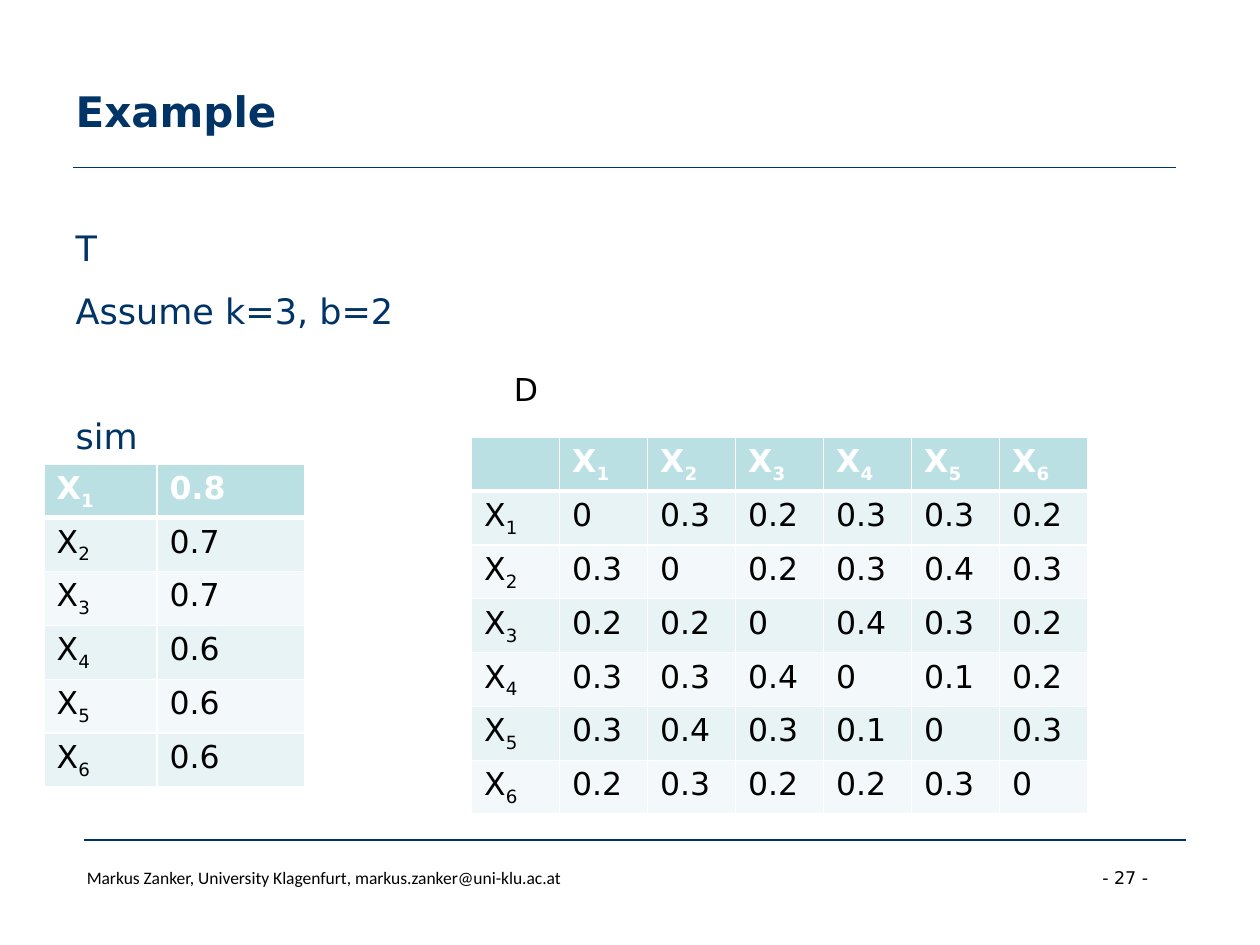
"""Build the example slide with a similarity list and a distance matrix."""
from dataclasses import dataclass

from lxml import etree
from pptx import Presentation
from pptx.dml.color import RGBColor
from pptx.enum.shapes import MSO_CONNECTOR
from pptx.enum.text import MSO_ANCHOR, MSO_AUTO_SIZE, PP_ALIGN
from pptx.oxml.ns import qn
from pptx.util import Pt

STRAIGHT = MSO_CONNECTOR.STRAIGHT
MIDDLE = MSO_ANCHOR.MIDDLE
TOP = MSO_ANCHOR.TOP
LEFT = PP_ALIGN.LEFT
NO_FIT = MSO_AUTO_SIZE.NONE

COLORS = {"navy": "003366", "black": "000000", "white": "FFFFFF",
          "head": "BBE0E3", "odd": "E7F3F4", "even": "F3F9FA"}
SANS = "DejaVu Sans"
ROW = 29.2
NAMES = [f"X{i}" for i in range(1, 7)]
SIMS = ["0.8", "0.7", "0.7", "0.6", "0.6", "0.6"]
DISTS = ["0 0.3 0.2 0.3 0.3 0.2", "0.3 0 0.2 0.3 0.4 0.3",
         "0.2 0.2 0 0.4 0.3 0.2", "0.3 0.3 0.4 0 0.1 0.2",
         "0.3 0.4 0.3 0.1 0 0.3", "0.2 0.3 0.2 0.2 0.3 0"]


@dataclass
class Box:
    left: float
    top: float
    width: float
    height: float

    def spots(self) -> list:
        return [Pt(v) for v in (self.left, self.top, self.width, self.height)]


@dataclass
class Style:
    size: float
    color: str = "black"
    font: str = SANS
    bold: bool = False


@dataclass
class Label:
    text: str
    box: Box
    style: Style


@dataclass
class Grid:
    box: Box
    cols: list
    rows: list


LABELS = [
    Label("- 27 -", Box(622.8, 491.8, 54.7, 19.4), Style(10)),
    Label("Markus Zanker, University Klagenfurt, markus.zanker@uni-klu.ac.at",
          Box(42.5, 491.8, 351.4, 37.4), Style(10, font="Calibri")),
    Label("D", Box(286.6, 208.1, 118.8, 28.8), Style(18)),
]
RULES = [Box(42, 95.8, 630, 0), Box(48, 480, 630, 0)]
GRIDS = [
    Grid(Box(25.2, 265, 148.8, 6 * ROW), [64.6, 84.2],
         [list(pair) for pair in zip(NAMES, SIMS)]),
    Grid(Box(269.5, 249.8, 352.1, 7 * ROW), [50.3] * 7,
         [[""] + NAMES]
         + [[name] + row.split() for name, row in zip(NAMES, DISTS)]),
]


def paint(run, style: Style) -> None:
    run.font.name = style.font
    run.font.size = Pt(style.size)
    run.font.bold = style.bold
    run.font.color.rgb = RGBColor.from_string(COLORS[style.color])


def place(shape, box: Box) -> None:
    shape.left, shape.top, shape.width, shape.height = box.spots()


def add_label(slide, label: Label) -> None:
    frame = slide.shapes.add_textbox(*label.box.spots()).text_frame
    frame.word_wrap = True
    frame.text = label.text
    paint(frame.paragraphs[0].runs[0], label.style)


def add_rule(slide, box: Box) -> None:
    left, top, width, _ = box.spots()
    line = slide.shapes.add_connector(STRAIGHT, left, top, left + width, top)
    line.line.color.rgb = RGBColor.from_string(COLORS["navy"])
    line.line.width = Pt(0.75)
    etree.SubElement(line._element.spPr, qn("a:effectLst"))


def add_edges(cell, row: int) -> None:
    props = cell._tc.get_or_add_tcPr()
    widths = {"lnL": 1, "lnR": 1, "lnT": 3 if row == 1 else 1,
              "lnB": 3 if row == 0 else 1}
    for spot, (tag, width) in enumerate(widths.items()):
        edge = etree.Element(qn(f"a:{tag}"), w=str(Pt(width)))
        fill = etree.SubElement(edge, qn("a:solidFill"))
        etree.SubElement(fill, qn("a:srgbClr"), val=COLORS["white"])
        props.insert(spot, edge)


def fill_cell(cell, text: str, row: int) -> None:
    shade = "head" if row == 0 else ("odd" if row % 2 else "even")
    cell.fill.solid()
    cell.fill.fore_color.rgb = RGBColor.from_string(COLORS[shade])
    add_edges(cell, row)
    style = Style(18, "black" if row else "white", bold=row == 0)
    parts = ["X", text[1:]] if text.startswith("X") else [text]
    para = cell.text_frame.paragraphs[0]
    for spot, part in enumerate(parts):
        run = para.add_run()
        run.text = part
        paint(run, style)
        if spot:
            run._r.get_or_add_rPr().set("baseline", "-25000")


def add_grid(slide, grid: Grid) -> None:
    table = slide.shapes.add_table(len(grid.rows), len(grid.cols),
                                   *grid.box.spots()).table
    for col, width in zip(table.columns, grid.cols):
        col.width = Pt(width)
    for r, row in enumerate(grid.rows):
        table.rows[r].height = Pt(ROW)
        for c, text in enumerate(row):
            fill_cell(table.cell(r, c), text, r)


def set_title(shape) -> None:
    place(shape, Box(36, 18, 648, 90))
    frame = shape.text_frame
    frame.text = "Example"
    frame.vertical_anchor = MIDDLE
    frame.auto_size = NO_FIT
    frame.paragraphs[0].alignment = LEFT
    paint(frame.paragraphs[0].runs[0], Style(24, "navy", bold=True))


def set_body(shape) -> None:
    place(shape, Box(36, 126, 318.2, 356.4))
    frame = shape.text_frame
    frame.text = "T\nAssume k=3, b=2\nsim"
    frame.vertical_anchor = TOP
    frame.auto_size = NO_FIT
    for para, gap in zip(frame.paragraphs, (12, 12, 47.5)):
        para.space_before = Pt(gap)
        props = para._p.get_or_add_pPr()
        props.set("marL", "0")
        props.set("indent", "0")
        etree.SubElement(props, qn("a:buNone"))
        paint(para.runs[0], Style(20, "navy"))


def main() -> None:
    deck = Presentation()
    deck.slide_width, deck.slide_height = Pt(720), Pt(540)
    slide = deck.slides.add_slide(deck.slide_layouts[1])
    set_title(slide.shapes.title)
    set_body(slide.placeholders[1])
    for rule in RULES:
        add_rule(slide, rule)
    for grid in GRIDS:
        add_grid(slide, grid)
    for label in LABELS:
        add_label(slide, label)
    deck.save("out.pptx")


if __name__ == "__main__":
    main()
